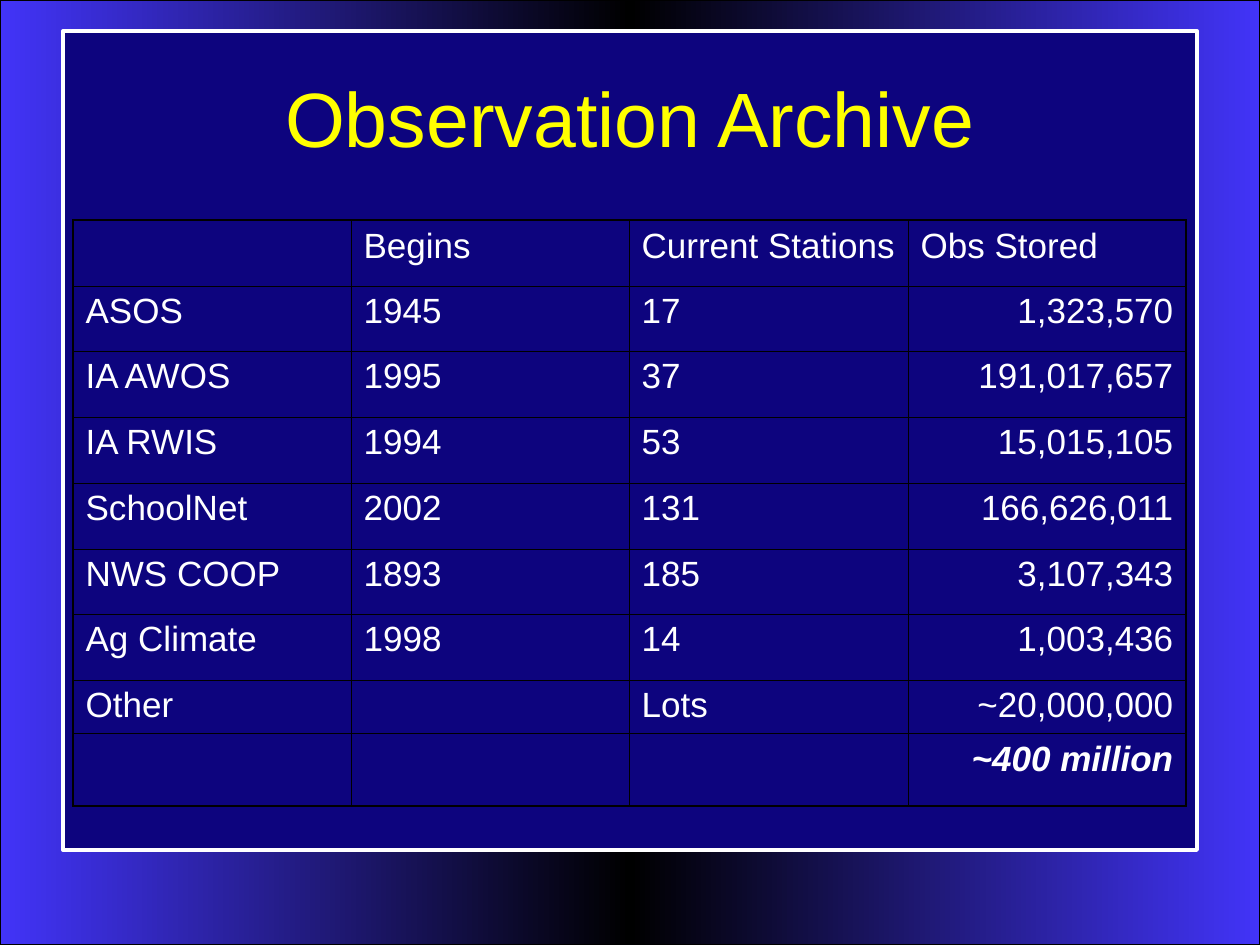
from copy import deepcopy

from lxml import etree
from pptx import Presentation
from pptx.dml.color import RGBColor
from pptx.enum.shapes import MSO_SHAPE
from pptx.enum.text import MSO_ANCHOR, PP_ALIGN
from pptx.oxml.ns import qn
from pptx.util import Emu, Pt

RECTANGLE = MSO_SHAPE.RECTANGLE
MIDDLE, TOP = MSO_ANCHOR.MIDDLE, MSO_ANCHOR.TOP
LEFT, CENTER, RIGHT = PP_ALIGN.LEFT, PP_ALIGN.CENTER, PP_ALIGN.RIGHT
TITLE_ONLY = 5

ARCHIVE_ROWS = [
    ("", "Begins", "Current Stations", "Obs Stored"),
    ("ASOS", "1945", "17", "1,323,570"),
    ("IA AWOS", "1995", "37", "191,017,657"),
    ("IA RWIS", "1994", "53", "15,015,105"),
    ("SchoolNet", "2002", "131", "166,626,011"),
    ("NWS COOP", "1893", "185", "3,107,343"),
    ("Ag Climate", "1998", "14", "1,003,436"),
    ("Other", "", "Lots", "~20,000,000"),
    ("", "", "", "~400 million"),
]


def px(length):
    return Emu(round(length * 914400 / 126))


def color(value):
    return RGBColor.from_string(value)


def split(total, count):
    """Divide a length into whole-number parts that add up exactly."""
    edges = [round(total * index / count) for index in range(count + 1)]
    return [end - start for start, end in zip(edges, edges[1:])]


class SlideBuilder:
    font_name = "Arial"
    title_color, text_color, border_color = "FFFF00", "FFFFFF", "000000"
    outer_border, inner_border = 1.08, 0.45

    def __init__(self, presentation):
        self.slide = presentation.slides.add_slide(presentation.slide_layouts[TITLE_ONLY])

    def style_paragraph(self, paragraph, size, font_color, alignment):
        paragraph.alignment = alignment
        paragraph.font.name = self.font_name
        paragraph.font.size = Pt(size)
        paragraph.font.color.rgb = color(font_color)

    def add_panel(self, left, top, width, height, fill_colors, line_color, line_width):
        """Add a rectangle; several fill colours make a horizontal gradient."""
        panel = self.slide.shapes.add_shape(RECTANGLE, px(left), px(top), px(width), px(height))
        panel.shadow.inherit = False
        panel.line.color.rgb = color(line_color)
        panel.line.width = Pt(line_width)
        if len(fill_colors) == 1:
            panel.fill.solid()
            panel.fill.fore_color.rgb = color(fill_colors[0])
            return
        panel.fill.gradient()
        panel.fill.gradient_angle = 0
        stop_list = next(panel.element.iter(qn("a:gsLst")))
        for _ in fill_colors[2:]:
            stop_list.append(deepcopy(stop_list[0]))
        for index, stop in enumerate(panel.fill.gradient_stops):
            stop.color.rgb = color(fill_colors[index])
            stop.position = index / (len(fill_colors) - 1)

    def add_title(self, text, left, top, width, height):
        """Fill the title placeholder and bring it in front of the panels."""
        title = self.slide.shapes.title
        title.element.getparent().append(title.element)
        title.left, title.top, title.width, title.height = map(px, (left, top, width, height))
        title.text_frame.text = text
        title.text_frame.vertical_anchor = MIDDLE
        self.style_paragraph(title.text_frame.paragraphs[0], 44, self.title_color, CENTER)

    def set_borders(self, cell, outer_sides):
        properties = cell._tc.get_or_add_tcPr()
        for index, side in enumerate("LRTB"):
            width = self.outer_border if side in outer_sides else self.inner_border
            line = etree.Element(qn(f"a:ln{side}"), w=str(Pt(width)))
            fill = etree.SubElement(line, qn("a:solidFill"))
            etree.SubElement(fill, qn("a:srgbClr"), val=self.border_color)
            properties.insert(index, line)

    def add_table(self, rows, left, top, column_widths, row_heights):
        table = self.slide.shapes.add_table(
            len(rows), len(column_widths), px(left), px(top),
            px(sum(column_widths)), px(sum(row_heights))).table
        table.first_row = table.horz_banding = False
        for column, width in zip(table.columns, column_widths):
            column.width = px(width)
        for row, height in zip(table.rows, row_heights):
            row.height = px(height)
        last_row, last_column = len(rows) - 1, len(column_widths) - 1
        for row_index, values in enumerate(rows):
            for column_index, value in enumerate(values):
                cell = table.cell(row_index, column_index)
                cell.text = value
                cell.vertical_anchor = TOP
                cell.fill.background()
                paragraph = cell.text_frame.paragraphs[0]
                is_number = row_index > 0 and column_index == last_column
                self.style_paragraph(paragraph, 20, self.text_color, RIGHT if is_number else LEFT)
                paragraph.space_before = Pt(5)
                if row_index == last_row and value:
                    paragraph.font.bold = paragraph.font.italic = True
                edges = {"L": column_index == 0, "R": column_index == last_column,
                         "T": row_index == 0, "B": row_index == last_row}
                self.set_borders(cell, [side for side, is_outer in edges.items() if is_outer])


def main():
    presentation = Presentation()
    presentation.slide_width, presentation.slide_height = px(1260), px(945)
    builder = SlideBuilder(presentation)
    builder.add_panel(0, 0, 1260, 945, ["4234F8", "000000", "4234F8"], "000000", 0.75)
    builder.add_panel(63, 31, 1134, 819, ["0D047E"], "FFFFFF", 2.25)
    builder.add_title("Observation Archive", 63, 38, 1134, 158)
    builder.add_table(ARCHIVE_ROWS, 73, 220, split(1113, 4), split(460, 7) + [54, 72])
    presentation.save("out.pptx")


if __name__ == "__main__":
    main()
